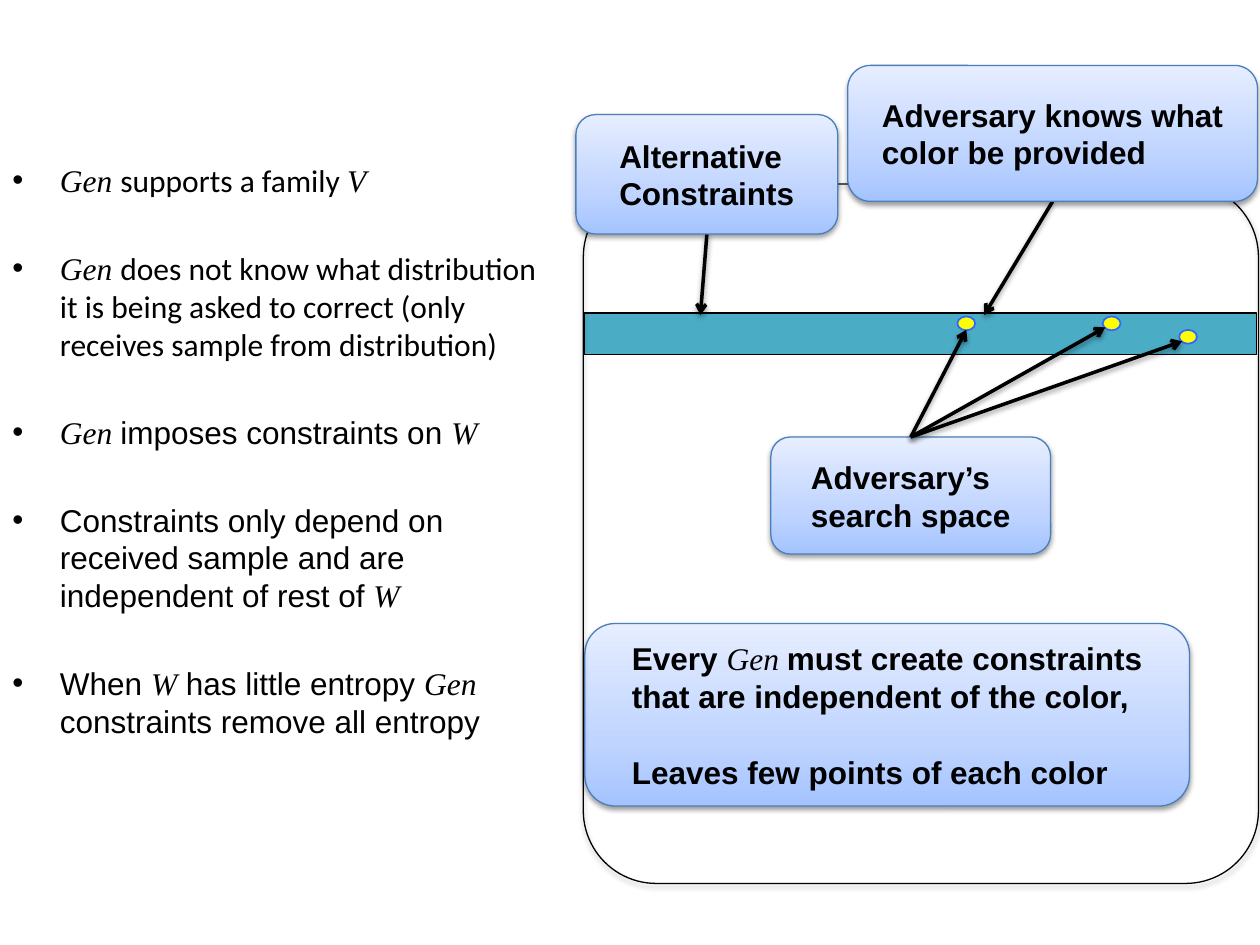
from dataclasses import dataclass

from lxml.etree import SubElement
from pptx import Presentation
from pptx.dml.color import RGBColor
from pptx.enum.shapes import MSO_CONNECTOR, MSO_SHAPE
from pptx.enum.text import MSO_ANCHOR, PP_ALIGN
from pptx.oxml.ns import qn
from pptx.util import Cm, Pt

BLACK = RGBColor(0x00, 0x00, 0x00)
TEAL = RGBColor(0x4B, 0xAC, 0xC6)
YELLOW = RGBColor(0xFF, 0xFF, 0x00)
DOT_BLUE = RGBColor(0x33, 0x66, 0xFF)
BOX_BLUE = RGBColor(0x4B, 0x7E, 0xBC)
BOX_GRADIENT = (
    (0, RGBColor(0xA4, 0xC4, 0xFF)),
    (35, RGBColor(0xBF, 0xD4, 0xFF)),
    (100, RGBColor(0xE6, 0xEE, 0xFF)),
)
LINE_HEIGHT = 21.6
BULLET_INDENT = 0.96


@dataclass(frozen=True)
class Span:
    text: str
    font: str = "Arial"
    bold: bool = False
    italic: bool = False


@dataclass(frozen=True)
class Box:
    left: float
    top: float
    width: float
    height: float
    paragraphs: tuple = ()

    @property
    def frame(self) -> tuple:
        return tuple(Cm(n) for n in (self.left, self.top, self.width, self.height))

    @property
    def top_center(self) -> tuple:
        return self.left + self.width / 2, self.top

    @property
    def bottom_center(self) -> tuple:
        return self.left + self.width / 2, self.top + self.height


def math(text: str) -> Span:
    return Span(text, font="Times New Roman", italic=True)


def strong(text: str) -> Span:
    return Span(text, bold=True)


def calibri(text: str) -> Span:
    return Span(text, font="Calibri")


BAND = Box(11.77, 6.31, 13.56, 0.84)
FRAME = Box(11.76, 3.71, 13.61, 14.1)
DOTS = [Box(left, top, 0.36, 0.28) for left, top in ((19.3, 6.38), (23.77, 6.65), (22.23, 6.38))]
SEARCH_SPACE = Box(15.54, 8.81, 5.64, 2.36, ((strong("Adversary’s search space"),),))
CONCLUSION = Box(11.79, 12.57, 12.19, 3.68, (
    (strong("Every "), math("Gen "),
     strong("must create constraints that are independent of the color,")),
    (strong("Leaves few points of each color"),),
))
KNOWN_COLOR = Box(17.09, 1.32, 8.26, 2.74, ((strong("Adversary knows what color be provided"),),))
ALTERNATIVES = Box(11.61, 2.31, 5.28, 2.41, ((strong("Alternative Constraints"),),))
BULLETS = Box(0, 3.12, 11.28, 14.33, (
    (math("Gen "), calibri("supports a family "), math("V")),
    (math("Gen "), calibri("does not know what distribution it is being asked to correct "
                           "(only receives sample from distribution)")),
    (math("Gen "), Span("imposes constraints on "), math("W")),
    (Span("Constraints only depend on received sample and are independent of rest of "), math("W")),
    (Span("When "), math("W"), Span(" has little entropy "), math("Gen "),
     Span("constraints remove all entropy")),
))


def add_shadow(effects, opacity: int = 38) -> None:
    shadow = SubElement(effects, qn("a:outerShdw"), blurRad=str(Pt(3.1)), dist=str(Pt(1.6)),
                        dir="5400000", rotWithShape="0")
    color = SubElement(shadow, qn("a:srgbClr"), val=str(BLACK))
    SubElement(color, qn("a:alpha"), val=str(opacity * 1000))


def add_figure(slide, kind, box: Box, line: RGBColor, line_width: float, fill=None,
               shadow_opacity: int = 0, corner=None):
    shape = slide.shapes.add_shape(kind, *box.frame)
    if corner is not None:
        shape.adjustments[0] = corner
    if fill is None:
        shape.fill.background()
    else:
        shape.fill.solid()
        shape.fill.fore_color.rgb = fill
    shape.line.color.rgb = line
    shape.line.width = Pt(line_width)
    shape.shadow.inherit = False
    if shadow_opacity:
        add_shadow(shape.element.spPr.find(qn("a:effectLst")), shadow_opacity)
    return shape


def fill_text(text_frame, paragraphs, gap: float, size: float = 18, bulleted: bool = False) -> None:
    text_frame.word_wrap = True
    for index, spans in enumerate(paragraphs):
        para = text_frame.paragraphs[0] if index == 0 else text_frame.add_paragraph()
        para.alignment = PP_ALIGN.LEFT
        para.line_spacing = Pt(LINE_HEIGHT)
        para.space_before = Pt(gap if index else 0)
        if bulleted:
            properties = para._p.get_or_add_pPr()
            properties.set("marL", str(Cm(BULLET_INDENT)))
            properties.set("indent", str(-Cm(BULLET_INDENT)))
            SubElement(properties, qn("a:buFont"), typeface="Arial")
            SubElement(properties, qn("a:buChar"), char="•")
        for span in spans:
            run = para.add_run()
            run.text = span.text
            run.font.name = span.font
            run.font.size = Pt(size)
            run.font.bold = span.bold
            run.font.italic = span.italic
            run.font.color.rgb = BLACK


def add_callout(slide, box: Box) -> None:
    """Add a gradient box whose left-aligned text block is centred as a whole."""
    shape = add_figure(slide, MSO_SHAPE.ROUNDED_RECTANGLE, box, BOX_BLUE, 0.75,
                       shadow_opacity=38, corner=0.167)
    shape.fill.gradient()
    shape.fill.gradient_angle = 90
    stops = shape.element.spPr.find(qn("a:gradFill")).find(qn("a:gsLst"))
    for stop in list(stops):
        stops.remove(stop)
    for position, color in BOX_GRADIENT:
        stop = SubElement(stops, qn("a:gs"), pos=str(position * 1000))
        SubElement(stop, qn("a:srgbClr"), val=str(color))
    text_frame = shape.text_frame
    text_frame.margin_left = text_frame.margin_right = Cm(0.13)
    text_frame.margin_top = text_frame.margin_bottom = Cm(0.13)
    text_frame.vertical_anchor = MSO_ANCHOR.MIDDLE
    shape.element.txBody.find(qn("a:bodyPr")).set("anchorCtr", "1")
    fill_text(text_frame, box.paragraphs, gap=LINE_HEIGHT)


def add_arrow(slide, start: tuple, end: tuple) -> None:
    arrow = slide.shapes.add_connector(MSO_CONNECTOR.STRAIGHT, *(Cm(n) for n in start + end))
    arrow.line.color.rgb = BLACK
    arrow.line.width = Pt(2)
    properties = arrow.element.spPr
    SubElement(properties.find(qn("a:ln")), qn("a:tailEnd"), type="arrow")
    add_shadow(SubElement(properties, qn("a:effectLst")))


def main() -> None:
    deck = Presentation()
    deck.slide_width, deck.slide_height = Cm(25.4), Cm(19.05)
    page = deck.slides.add_slide(deck.slide_layouts[6])

    add_figure(page, MSO_SHAPE.RECTANGLE, BAND, BLACK, 1, fill=TEAL)
    for dot in DOTS:
        add_figure(page, MSO_SHAPE.OVAL, dot, DOT_BLUE, 1, fill=YELLOW)

    add_arrow(page, KNOWN_COLOR.bottom_center, (19.84, 6.35))
    add_arrow(page, ALTERNATIVES.bottom_center, (14.12, 6.35))
    add_callout(page, SEARCH_SPACE)
    for target in ((23.83, 6.88), (22.28, 6.6), (19.48, 6.65)):
        add_arrow(page, SEARCH_SPACE.top_center, target)
    add_callout(page, CONCLUSION)

    bullets = page.shapes.add_textbox(*BULLETS.frame)
    fill_text(bullets.text_frame, BULLETS.paragraphs, gap=28.7, bulleted=True)

    add_figure(page, MSO_SHAPE.ROUNDED_RECTANGLE, FRAME, BLACK, 0.75,
               shadow_opacity=35, corner=0.108)
    add_callout(page, KNOWN_COLOR)
    add_callout(page, ALTERNATIVES)
    deck.save("out.pptx")


if __name__ == "__main__":
    main()
